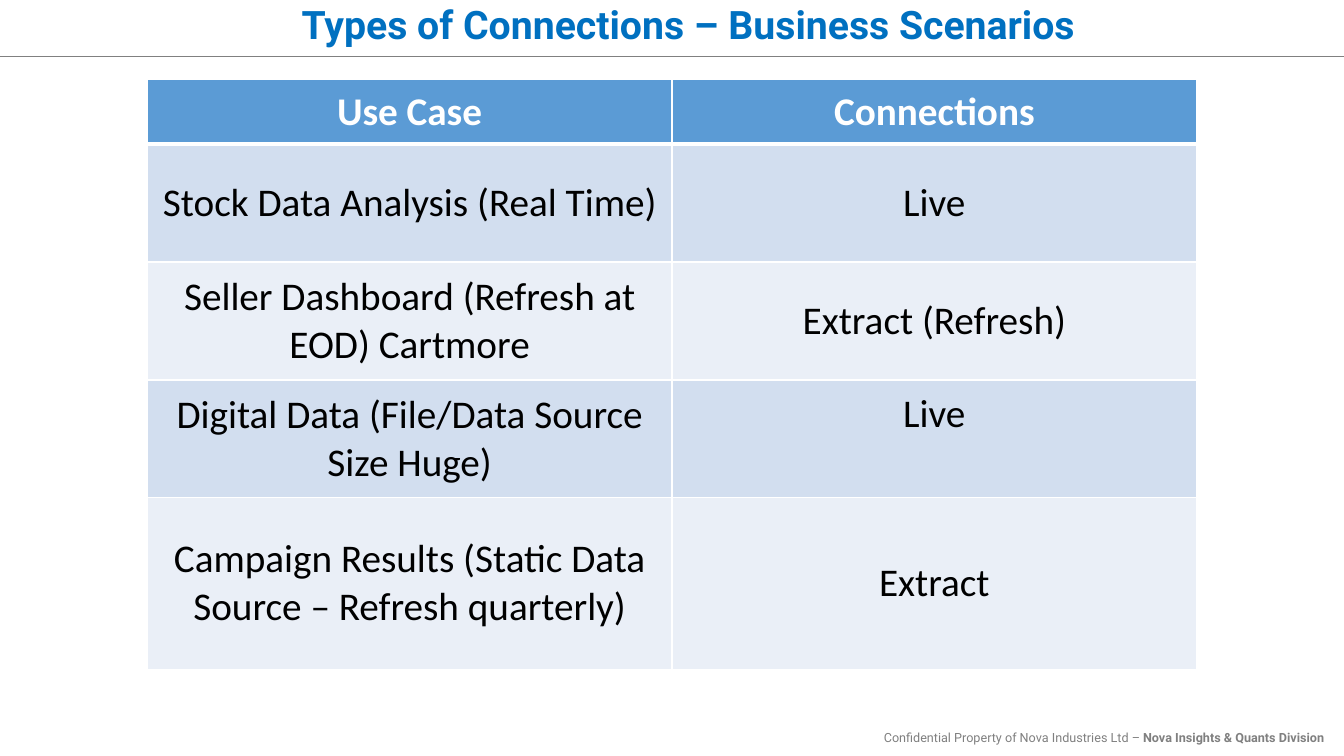
from lxml import etree
from pptx import Presentation
from pptx.dml.color import RGBColor
from pptx.enum.shapes import MSO_CONNECTOR, MSO_SHAPE
from pptx.enum.text import MSO_ANCHOR, PP_ALIGN
from pptx.oxml.ns import qn
from pptx.util import Inches, Pt

STRAIGHT = MSO_CONNECTOR.STRAIGHT
RECTANGLE = MSO_SHAPE.RECTANGLE
TOP, MIDDLE = MSO_ANCHOR.TOP, MSO_ANCHOR.MIDDLE
CENTER, RIGHT = PP_ALIGN.CENTER, PP_ALIGN.RIGHT

WHITE = RGBColor(0xFF, 0xFF, 0xFF)
BLACK = RGBColor(0x00, 0x00, 0x00)
GRAY = RGBColor(0x80, 0x80, 0x80)
TITLE_BLUE = RGBColor(0x00, 0x70, 0xC0)
HEADER_BLUE = RGBColor(0x5B, 0x9B, 0xD5)
BANDS = (RGBColor(0xD2, 0xDE, 0xEF), RGBColor(0xEA, 0xEF, 0xF7))

PAGE_WIDTH, PAGE_HEIGHT = 13.33, 7.5
ROW_HEIGHTS = (0.64, 1.17, 1.17, 1.17, 1.7)
SCENARIOS = (
    ("Use Case", "Connections"),
    ("Stock Data Analysis (Real Time)", "Live"),
    ("Seller Dashboard (Refresh at EOD) Cartmore", "Extract (Refresh)"),
    ("Digital Data (File/Data Source Size Huge)", "Live"),
    ("Campaign Results (Static Data Source – Refresh quarterly)", "Extract"),
)
TOP_ALIGNED_CELL = (3, 1)


def add_span(para, text, font_name, size, color, bold=False):
    span = para.add_run()
    span.text = text
    span.font.name = font_name
    span.font.size = Pt(size)
    span.font.color.rgb = color
    span.font.bold = bold


def add_rule(page, left, top, width):
    rule = page.shapes.add_connector(
        STRAIGHT, Inches(left), Inches(top), Inches(left + width), Inches(top))
    rule.line.color.rgb = GRAY
    rule.line.width = Pt(0.5)
    etree.SubElement(rule._element.spPr, qn("a:effectLst"))


def add_footer(page, left, top, width, height):
    box = page.shapes.add_textbox(
        Inches(left), Inches(top), Inches(width), Inches(height))
    box.text_frame.word_wrap = True
    para = box.text_frame.paragraphs[0]
    para.alignment = RIGHT
    add_span(para, "Confidential Property of Nova Industries Ltd – ", "Roboto", 9, GRAY)
    add_span(para, "Nova Insights & Quants Division", "Roboto", 9, GRAY, True)


def add_title(page, left, top, width, height):
    box = page.shapes.add_shape(
        RECTANGLE, Inches(left), Inches(top), Inches(width), Inches(height))
    box.shadow.inherit = False
    box.fill.solid()
    box.fill.fore_color.rgb = WHITE
    box.line.fill.background()
    frame = box.text_frame
    frame.word_wrap = True
    frame.vertical_anchor = MIDDLE
    para = frame.paragraphs[0]
    para.alignment = CENTER
    para.line_spacing = 0.9
    add_span(para, "Types of Connections – Business Scenarios",
             "Roboto", 28, TITLE_BLUE, True)


def set_borders(cell, top_width, bottom_width):
    properties = cell._tc.get_or_add_tcPr()
    widths = {"a:lnL": 1, "a:lnR": 1, "a:lnT": top_width, "a:lnB": bottom_width}
    for index, (side, width) in enumerate(widths.items()):
        border = etree.Element(qn(side), w=str(Pt(width)))
        fill = etree.SubElement(border, qn("a:solidFill"))
        etree.SubElement(fill, qn("a:srgbClr"), val=str(WHITE))
        properties.insert(index, border)


def add_scenario_table(page, left, top, width):
    table = page.shapes.add_table(
        len(SCENARIOS), 2, Inches(left), Inches(top),
        Inches(width), Inches(sum(ROW_HEIGHTS))).table
    for column in table.columns:
        column.width = Inches(width / 2)
    for row, (texts, height) in enumerate(zip(SCENARIOS, ROW_HEIGHTS)):
        table.rows[row].height = Inches(height)
        header = row == 0
        for column, text in enumerate(texts):
            cell = table.cell(row, column)
            cell.fill.solid()
            cell.fill.fore_color.rgb = HEADER_BLUE if header else BANDS[(row - 1) % 2]
            set_borders(cell, 3 if row == 1 else 1, 3 if header else 1)
            cell.vertical_anchor = MIDDLE
            if (row, column) == TOP_ALIGNED_CELL:
                cell.vertical_anchor = TOP
                cell.margin_top = Inches(0.1)
            para = cell.text_frame.paragraphs[0]
            para.alignment = CENTER
            add_span(para, text, "Calibri", 28, WHITE if header else BLACK, header)


def main():
    deck = Presentation()
    deck.slide_width = Inches(PAGE_WIDTH)
    deck.slide_height = Inches(PAGE_HEIGHT)
    page = deck.slides.add_slide(deck.slide_layouts[6])
    add_rule(page, 0, 0.56, PAGE_WIDTH)
    add_footer(page, 6.56, 7.19, 6.67, 0.25)
    add_title(page, 2.27, 0, 9.11, 0.53)
    add_scenario_table(page, 1.46, 0.79, 10.41)
    deck.save("out.pptx")


if __name__ == "__main__":
    main()
